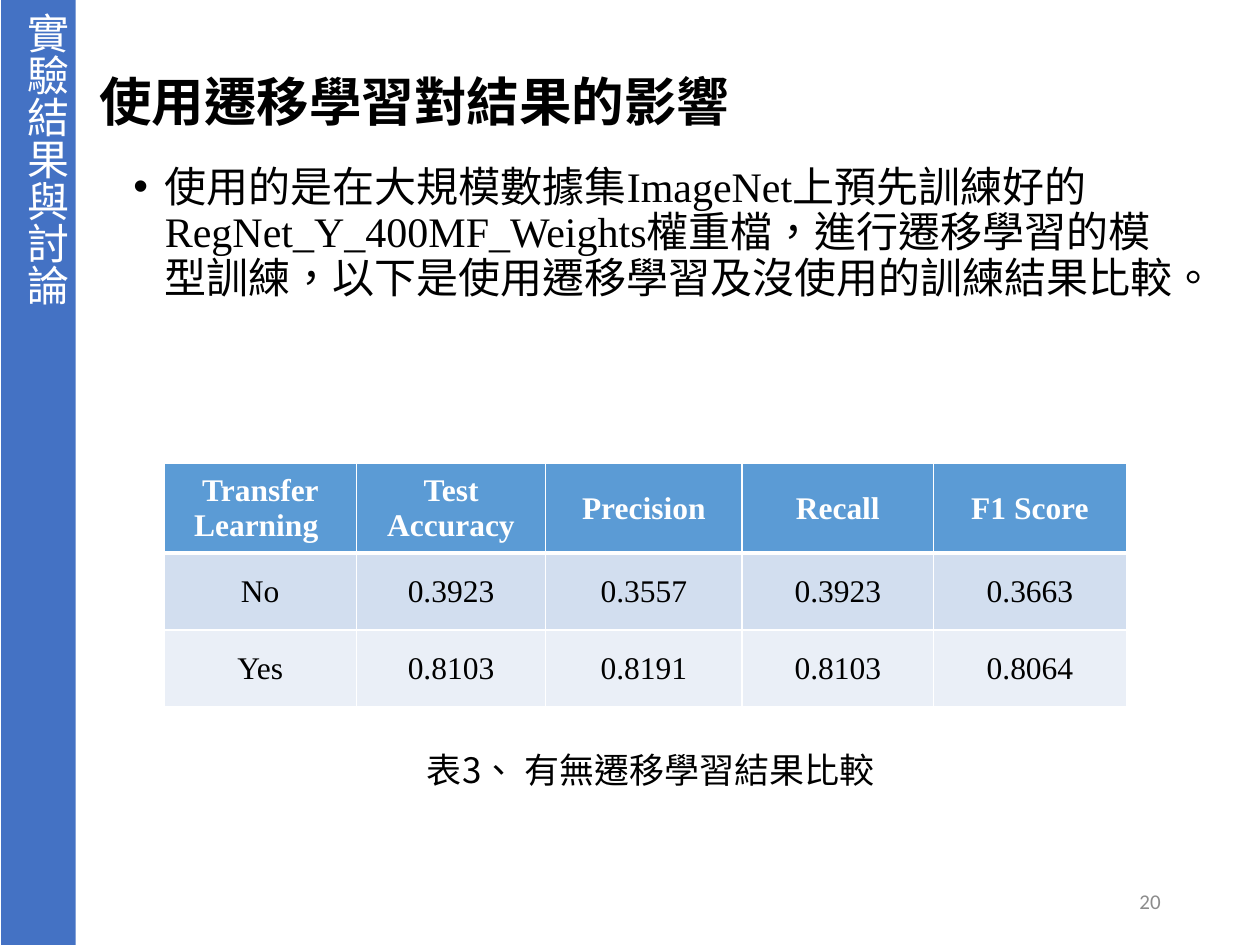
from lxml import etree
from pptx import Presentation
from pptx import util as u
from pptx.dml.color import RGBColor
from pptx.enum import lang, shapes, text
from pptx.oxml import ns

WHITE = RGBColor(0xFF, 0xFF, 0xFF)
BLACK = RGBColor(0, 0, 0)
GRAY = RGBColor(0x8C, 0x8C, 0x8C)
BLUE = RGBColor(0x44, 0x72, 0xC4)
HEAD = RGBColor(0x5B, 0x9B, 0xD5)
BANDS = [RGBColor(0xD2, 0xDE, 0xEF), RGBColor(0xEA, 0xEF, 0xF7)]
SERIF, SANS, CJK = "Times New Roman", "Calibri", "Noto Sans CJK SC"
MID = text.MSO_ANCHOR.MIDDLE
CENTER, RIGHT = text.PP_ALIGN.CENTER, text.PP_ALIGN.RIGHT


def apply(item, form):
    for key, value in form.items():
        setattr(item, key, value)


def add_tag(parent, tag, **attrs):
    return etree.SubElement(parent, ns.qn(tag), attrs)


class Deck:
    def __init__(self):
        self.prs = Presentation()
        self.prs.slide_width = u.Inches(10)
        self.prs.slide_height = u.Inches(7.5)
        self.slide = self.prs.slides.add_slide(self.prs.slide_layouts[6])

    def label(self, para, words, size, color=BLACK, font=SERIF, bold=False):
        run = para.add_run()
        run.text = words
        apply(run.font, dict(name=font, size=u.Pt(size), bold=bold,
                             language_id=lang.MSO_LANGUAGE_ID.TRADITIONAL_CHINESE))
        run.font.color.rgb = color

    def bar(self, area, color):
        bar = self.slide.shapes.add_shape(
            shapes.MSO_SHAPE.RECTANGLE, *map(u.Inches, area))
        bar.shadow.inherit = False
        bar.fill.solid()
        bar.fill.fore_color.rgb = color
        bar.line.fill.background()

    def box(self, area, frame=None, **form):
        """Add a text box and return its first paragraph."""
        box = self.slide.shapes.add_textbox(*map(u.Inches, area))
        apply(box.text_frame, dict(word_wrap=True) | (frame or {}))
        para = box.text_frame.paragraphs[0]
        apply(para, form)
        return para

    def upright(self, area, words, size, color):
        """Add a text box whose characters run from top to bottom."""
        para = self.box(area)
        body = self.slide.shapes[-1].text_frame._txBody.bodyPr
        body.set("vert", "eaVert")
        self.label(para, words, size, color)

    def bullet(self, area, words, size):
        para = self.box(area)
        props = para._p.get_or_add_pPr()
        indent = u.Inches(0.25)
        props.set("marL", str(indent))
        props.set("indent", str(-indent))
        add_tag(props, "a:buFont", typeface="Arial")
        add_tag(props, "a:buChar", char="•")
        para.line_spacing = 0.9
        self.label(para, words, size)

    def edge(self, cell, bottom):
        """Draw white cell borders; call before the fill is set."""
        props = cell._tc.get_or_add_tcPr()
        for side, width in dict(L=1, R=1, T=1, B=bottom).items():
            line = add_tag(props, f"a:ln{side}", w=str(u.Pt(width)))
            add_tag(add_tag(line, "a:solidFill"), "a:srgbClr", val=str(WHITE))

    def table(self, area, cols, heights, rows):
        grid = self.slide.shapes.add_table(
            len(rows), len(cols), *map(u.Inches, area)).table
        for col, width in zip(grid.columns, cols):
            col.width = u.Inches(width)
        for r, row in enumerate(rows):
            grid.rows[r].height = u.Inches(heights[r])
            top = r == 0
            for c, words in enumerate(row):
                cell = grid.cell(r, c)
                cell.vertical_anchor = MID
                self.edge(cell, 3 if top else 1)
                cell.fill.solid()
                cell.fill.fore_color.rgb = HEAD if top else BANDS[(r - 1) % 2]
                para = cell.text_frame.paragraphs[0]
                para.alignment = CENTER
                self.label(para, words, 18, WHITE if top else BLACK, bold=top)


def main():
    deck = Deck()
    deck.bar((0.01, 0, 0.59, 7.5), BLUE)
    title = deck.box((0.69, 0.21, 8.62, 0.93), dict(vertical_anchor=MID),
                     line_spacing=1.5)
    deck.label(title, "使用遷移學習對結果的影響", 30, font=SANS, bold=True)
    page = deck.box((7.06, 6.95, 2.25, 0.4), dict(vertical_anchor=MID),
                    alignment=RIGHT)
    deck.label(page, "20", 12, GRAY, SANS)
    deck.upright((0.01, 0, 0.61, 7.35), "實驗結果與討論", 24, WHITE)
    deck.bullet((0.96, 1.27, 8.45, 5.55),
                "使用的是在大規模數據集ImageNet上預先訓練好的"
                "RegNet_Y_400MF_Weights權重檔，進行遷移學習的模型訓練，"
                "以下是使用遷移學習及沒使用的訓練結果比較。", 24)
    deck.table((1.3, 3.68, 7.64, 1.93),
               [1.53, 1.5, 1.56, 1.52, 1.53], [0.71, 0.61, 0.61], [
        ["Transfer Learning ", "Test Accuracy", "Precision", "Recall", "F1 Score"],
        ["No", "0.3923", "0.3557", "0.3923", "0.3663"],
        ["Yes", "0.8103", "0.8191", "0.8103", "0.8064"],
    ])
    note = deck.box((3.29, 5.89, 3.78, 0.44))
    deck.label(note, "表3、 ", 20, font=CJK)
    deck.label(note, "有無遷移學習結果比較", 20)
    deck.prs.save("out.pptx")


if __name__ == "__main__":
    main()
